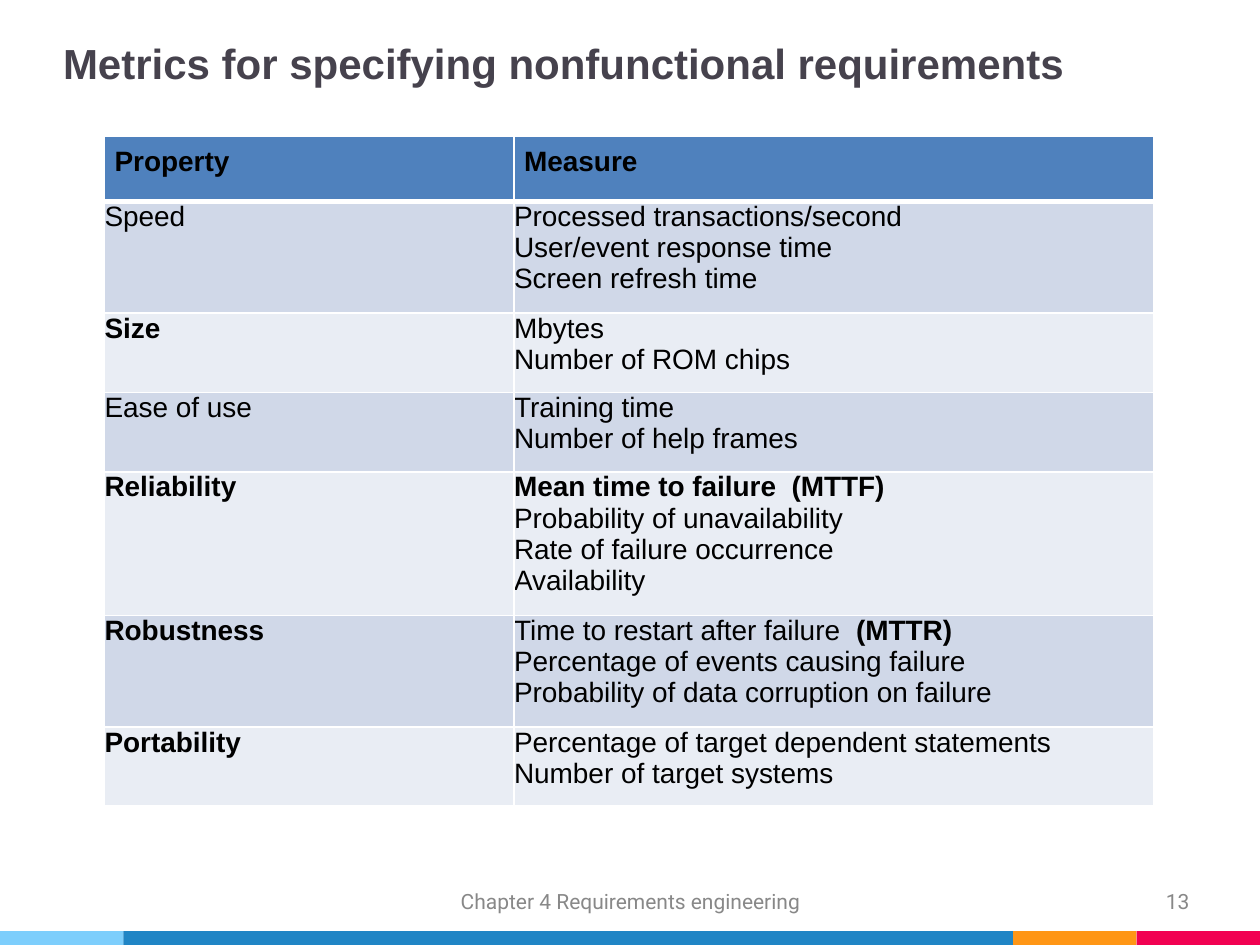
"""Build the slide on metrics for nonfunctional requirements."""
from dataclasses import dataclass
from typing import NamedTuple

from pptx import Presentation
from pptx.dml.color import RGBColor
from pptx.enum.shapes import MSO_SHAPE as Shape
from pptx.enum.text import MSO_ANCHOR as Anchor, MSO_AUTO_SIZE as AutoSize, PP_ALIGN as Align
from pptx.oxml import parse_xml
from pptx.oxml.ns import nsdecls
from pptx.util import Inches, Pt

INK = RGBColor(0x46, 0x42, 0x4D)
BLACK = RGBColor(0, 0, 0)
GREY = RGBColor(0x88, 0x88, 0x88)
HEADER = RGBColor(0x4F, 0x81, 0xBD)
BAND_DARK = RGBColor(0xD0, 0xD8, 0xE8)
BAND_LIGHT = RGBColor(0xE9, 0xED, 0xF4)
WHITE = RGBColor(0xFF, 0xFF, 0xFF)
SKY = RGBColor(0x7D, 0xCE, 0xFC)
BLUE = RGBColor(0x20, 0x85, 0xC5)
ORANGE = RGBColor(0xFF, 0x96, 0x15)
PINK = RGBColor(0xF1, 0x01, 0x52)

TITLE_FONT = {"name": "Arial", "size": Pt(24), "bold": True}
TABLE_FONT = {"name": "Arial", "size": Pt(16)}
FOOTER_FONT = {"name": "Roboto", "size": Pt(12)}


class Span(NamedTuple):
    text: str
    bold: bool = False


Line = list[Span]


@dataclass
class Metric:
    name: Span
    measures: list[Line]
    name_align: Align = Align.JUSTIFY


class Stripe(NamedTuple):
    left: float
    right: float
    color: RGBColor


class Footer(NamedTuple):
    left: float
    width: float
    text: str
    align: Align


def plain(*texts: str) -> list[Line]:
    """Return one regular line per text."""
    return [[Span(text)] for text in texts]


METRICS = [
    Metric(Span("Speed"), plain("Processed transactions/second", "User/event response time",
                                "Screen refresh time")),
    Metric(Span("Size", True), plain("Mbytes", "Number of ROM chips")),
    Metric(Span("Ease of use"), plain("Training time", "Number of help frames")),
    Metric(Span("Reliability", True),
           [[Span("Mean time to failure  (MTTF)", True)],
            *plain("Probability of unavailability", "Rate of failure occurrence", "Availability")],
           Align.LEFT),
    Metric(Span("Robustness", True),
           [[Span("Time to restart after failure  "), Span("(MTTR)", True)],
            *plain("Percentage of events causing failure",
                   "Probability of data corruption on failure")]),
    Metric(Span("Portability", True), plain("Percentage of target dependent statements",
                                            "Number of target systems")),
]
STRIPES = [Stripe(8.04, 9.02, ORANGE), Stripe(9.02, 10, PINK),
           Stripe(0, 0.98, SKY), Stripe(0.98, 8.04, BLUE)]
FOOTERS = [Footer(3.42, 3.17, "Chapter 4 Requirements engineering", Align.CENTER),
           Footer(7.17, 2.33, "13", Align.RIGHT)]


def set_attrs(target, values: dict) -> None:
    """Set every given attribute on the target."""
    for name, value in values.items():
        setattr(target, name, value)


def write_line(p, line: Line, font: dict, color: RGBColor, align: Align) -> None:
    """Fill a paragraph with formatted runs."""
    p.alignment = align
    for span in line:
        r = p.add_run()
        r.text = span.text
        set_attrs(r.font, {"bold": span.bold, **font})
        r.font.color.rgb = color


def margins(inset: float) -> dict:
    """Return equal margins on all four sides."""
    return {f"margin_{side}": Inches(inset) for side in ("left", "top", "right", "bottom")}


def set_borders(cell, top: float, bottom: float) -> None:
    """Give a cell white borders with the given point widths."""
    tc_pr = cell._tc.get_or_add_tcPr()
    for side, width in {"L": 1, "R": 1, "T": top, "B": bottom}.items():
        tc_pr.append(parse_xml(
            f'<a:ln{side} {nsdecls("a")} w="{Pt(width)}"><a:solidFill>'
            f'<a:srgbClr val="{WHITE}"/></a:solidFill></a:ln{side}>'))


def fill_cell(cell, lines: list[Line], row: int, align: Align = Align.JUSTIFY) -> None:
    """Write and style one table cell."""
    set_attrs(cell, margins(0 if row else 0.08))
    set_borders(cell, top=3 if row == 1 else 1, bottom=1 if row else 3)
    cell.fill.solid()
    cell.fill.fore_color.rgb = (BAND_DARK if row % 2 else BAND_LIGHT) if row else HEADER
    tf = cell.text_frame
    for i, line in enumerate(lines):
        p = tf.add_paragraph() if i else tf.paragraphs[0]
        write_line(p, line, TABLE_FONT, BLACK, align)


def add_stripe(s, stripe: Stripe) -> None:
    """Draw one segment of the bottom bar."""
    sp = s.shapes.add_shape(Shape.RECTANGLE, Inches(stripe.left), Inches(7.39),
                            Inches(stripe.right - stripe.left), Inches(0.11))
    sp.shadow.inherit = False
    sp.fill.solid()
    sp.fill.fore_color.rgb = stripe.color
    sp.line.fill.background()


def add_footer(s, footer: Footer) -> None:
    """Write one footer text."""
    sp = s.shapes.add_textbox(Inches(footer.left), Inches(6.95), Inches(footer.width), Inches(0.4))
    tf = sp.text_frame
    set_attrs(tf, {"word_wrap": True, "vertical_anchor": Anchor.MIDDLE, **margins(0.06)})
    write_line(tf.paragraphs[0], [Span(footer.text)], FOOTER_FONT, GREY, footer.align)


def add_title(s, text: str) -> None:
    """Place and format the title placeholder."""
    sp = s.shapes.title
    set_attrs(sp, {"left": Inches(0.5), "top": Inches(0.3),
                   "width": Inches(7.98), "height": Inches(1.25)})
    tf = sp.text_frame
    set_attrs(tf, {"word_wrap": True, "auto_size": AutoSize.NONE,
                   "vertical_anchor": Anchor.TOP, **margins(0)})
    write_line(tf.paragraphs[0], [Span(text)], TITLE_FONT, INK, Align.LEFT)


def add_metrics(s) -> None:
    """Draw the table of properties and measures."""
    table = s.shapes.add_table(len(METRICS) + 1, 2, Inches(0.83), Inches(1.08),
                               Inches(8.33), Inches(5.33)).table
    for column, width in zip(table.columns, (3.25, 5.08)):
        column.width = Inches(width)
    table.rows[0].height = Inches(0.52)
    for col, heading in enumerate(("Property", "Measure")):
        fill_cell(table.cell(0, col), [[Span(heading, True)]], 0)
    for row, metric in enumerate(METRICS, 1):
        table.rows[row].height = Inches(0.12 + 0.255 * len(metric.measures))
        fill_cell(table.cell(row, 0), [[metric.name]], row, metric.name_align)
        fill_cell(table.cell(row, 1), metric.measures, row)


def main() -> None:
    """Build and save the slide."""
    prs = Presentation()
    set_attrs(prs, {"slide_width": Inches(10), "slide_height": Inches(7.5)})
    s = prs.slides.add_slide(prs.slide_layouts[5])
    for stripe in STRIPES:
        add_stripe(s, stripe)
    add_title(s, "Metrics for specifying nonfunctional requirements")
    add_metrics(s)
    for footer in FOOTERS:
        add_footer(s, footer)
    prs.save("out.pptx")


main()
